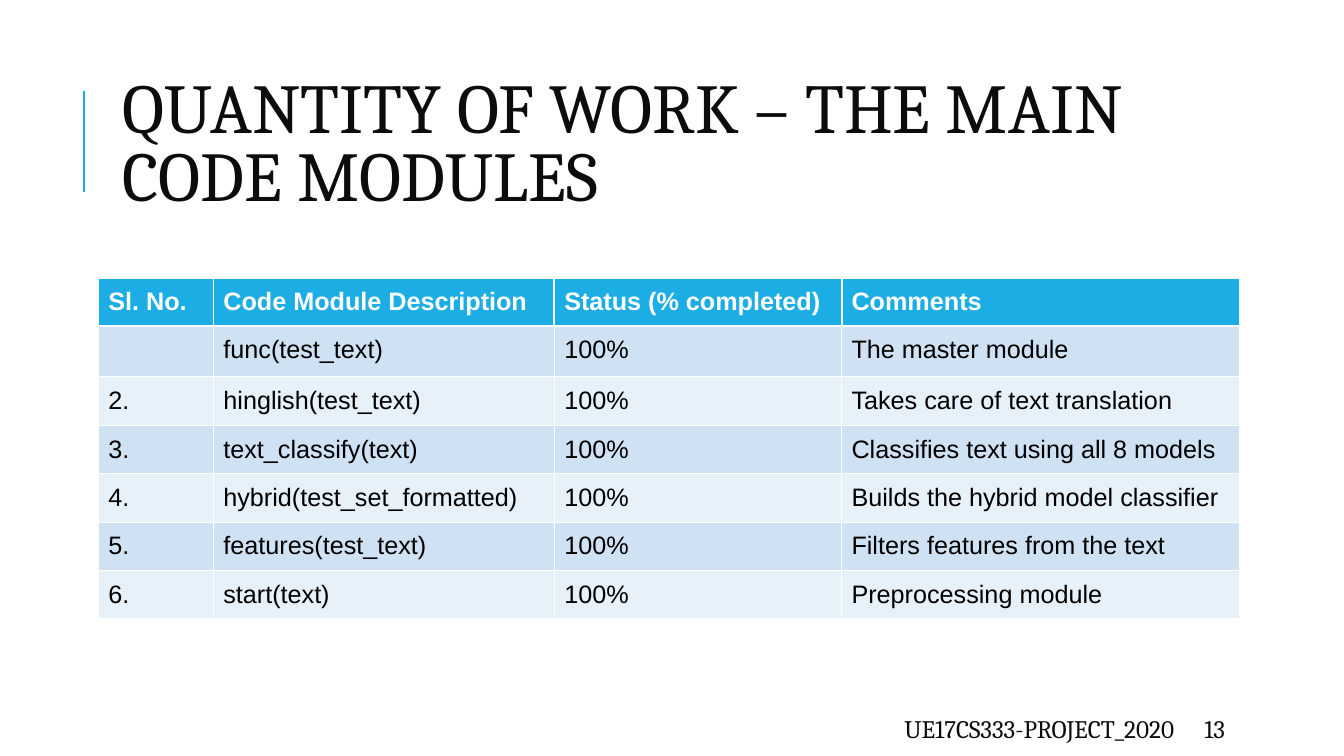
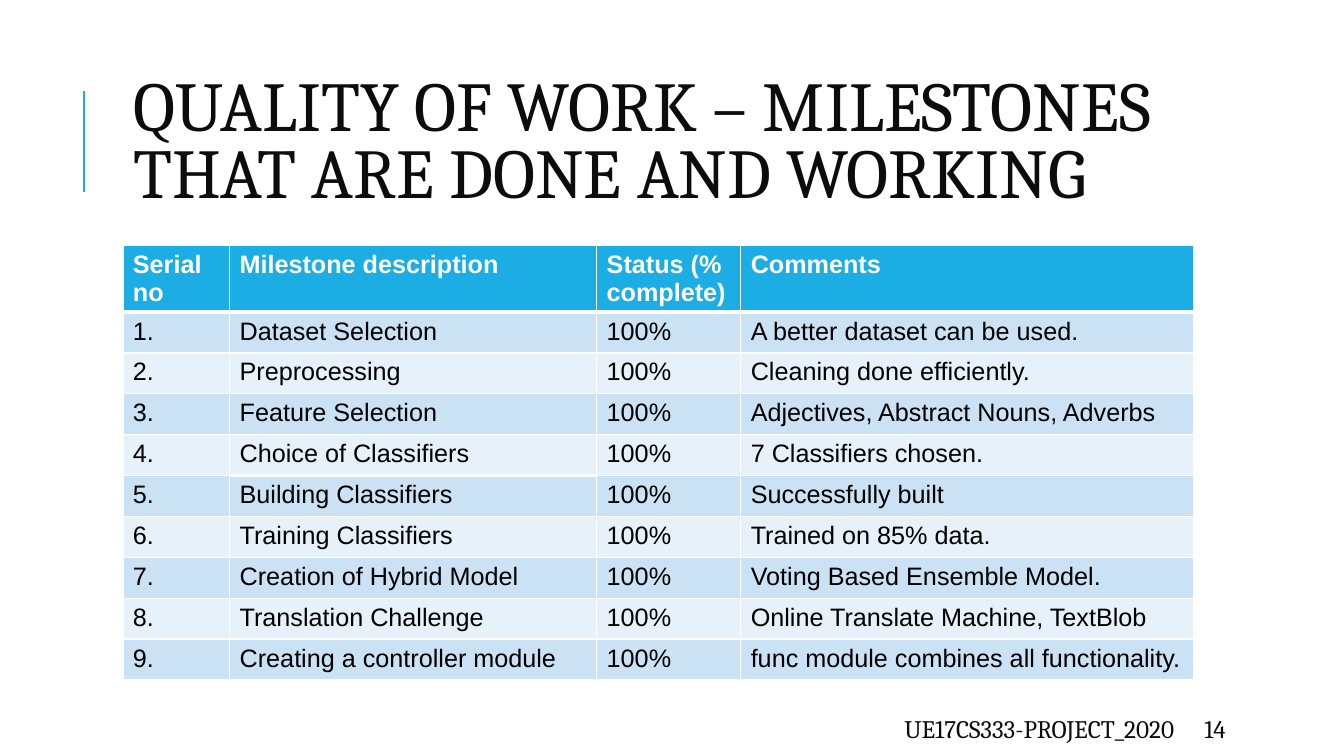
from lxml import etree
from pptx import Presentation
from pptx.dml.color import RGBColor
from pptx.enum.shapes import MSO_CONNECTOR
from pptx.enum.text import MSO_ANCHOR, MSO_AUTO_SIZE, PP_ALIGN
from pptx.oxml.ns import qn
from pptx.util import Cm, Pt

LEFT, RIGHT = PP_ALIGN.LEFT, PP_ALIGN.RIGHT
MIDDLE = MSO_ANCHOR.MIDDLE
NO_AUTOFIT = MSO_AUTO_SIZE.NONE
STRAIGHT = MSO_CONNECTOR.STRAIGHT

COLORS = {
    "accent": "1CADE4",
    "heading": "0C0C0C",
    "body": "000000",
    "white": "FFFFFF",
    "module_band": "CFE2F3",
    "milestone_band": "CBE2F5",
    "light_band": "E7F1FA",
}
HEADING_FONT, TABLE_FONT = "Cambria", "Arial"
TITLE_ONLY = 5
SIDE_MARGIN = Cm(0.25)
FOOTER = "UE17CS333-PROJECT_2020"

MODULES = [
    ("Sl. No.", "Code Module Description", "Status (% completed)", "Comments"),
    ("", "func(test_text)", "100%", "The master module"),
    ("2.", "hinglish(test_text)", "100%", "Takes care of text translation"),
    ("3.", "text_classify(text)", "100%", "Classifies text using all 8 models"),
    ("4.", "hybrid(test_set_formatted)", "100%", "Builds the hybrid model classifier"),
    ("5.", "features(test_text)", "100%", "Filters features from the text"),
    ("6.", "start(text)", "100%", "Preprocessing module"),
]
MILESTONES = [
    ("Serial no", "Milestone description", "Status (% complete)", "Comments"),
    ("1.", "Dataset Selection", "100%", "A better dataset can be used."),
    ("2.", "Preprocessing", "100%", "Cleaning done efficiently."),
    ("3.", "Feature Selection", "100%", "Adjectives, Abstract Nouns, Adverbs"),
    ("4.", "Choice of Classifiers", "100%", "7 Classifiers chosen."),
    ("5.", "Building Classifiers", "100%", "Successfully built"),
    ("6.", "Training Classifiers", "100%", "Trained on 85% data."),
    ("7.", "Creation of Hybrid Model", "100%", "Voting Based Ensemble Model."),
    ("8.", "Translation Challenge", "100%", "Online Translate Machine, TextBlob"),
    ("9.", "Creating a controller module", "100%", "func module combines all functionality."),
]


def rgb(name):
    return RGBColor.from_string(COLORS[name])


def write_text(frame, text, *, size=18, font=HEADING_FONT, color="heading",
               bold=False, align=LEFT, line_spacing=None):
    para = frame.paragraphs[0]
    para.alignment = align
    para.line_spacing = line_spacing
    span = para.add_run()
    span.text = text
    span.font.size = Pt(size)
    span.font.name = font
    span.font.bold = bold
    span.font.color.rgb = rgb(color)


def place(box, left, top, width, height):
    box.left, box.top = Cm(left), Cm(top)
    box.width, box.height = Cm(width), Cm(height)
    frame = box.text_frame
    frame.word_wrap = True
    frame.auto_size = NO_AUTOFIT
    frame.vertical_anchor = MIDDLE


def add_footer_text(page, text, left, width, align=LEFT):
    box = page.shapes.add_textbox(0, 0, 0, 0)
    place(box, left, 17.98, width, 0.76)
    write_text(box.text_frame, text, align=align)


def add_title_rule(page):
    rule = page.shapes.add_connector(STRAIGHT, Cm(2.11), Cm(4.83), Cm(2.11), Cm(2.29))
    rule.line.color.rgb = rgb("accent")
    rule.line.width = Pt(1.5)
    etree.SubElement(rule._element.spPr, qn("a:effectLst"))


def add_page(deck, title, number, title_area):
    """Add a slide with the shared title style, accent rule and footer."""
    page = deck.slides.add_slide(deck.slide_layouts[TITLE_ONLY])
    add_title_rule(page)
    place(page.shapes.title, *title_area)
    write_text(page.shapes.title.text_frame, title, size=50, line_spacing=0.8)
    add_footer_text(page, FOOTER, 13.46, 16.38, align=RIGHT)
    add_footer_text(page, str(number), 30.1, 2.69)
    return page


def set_border(cell, width, sides="LRTB"):
    """Draw white lines on the named sides, or change the width of those there."""
    properties = cell._tc.get_or_add_tcPr()
    for index, side in enumerate(sides):
        tag = qn(f"a:ln{side}")
        line = properties.find(tag)
        if line is None:
            line = etree.Element(tag)
            properties.insert(index, line)
            fill = etree.SubElement(line, qn("a:solidFill"))
            etree.SubElement(fill, qn("a:srgbClr"), val=COLORS["white"])
        line.set("w", str(Pt(width)))


def fill_cell(cell, text, fill, margin, border, is_header):
    cell.margin_left = cell.margin_right = SIDE_MARGIN
    cell.margin_top = cell.margin_bottom = Cm(margin)
    cell.fill.solid()
    cell.fill.fore_color.rgb = rgb(fill)
    set_border(cell, border)
    if text:
        write_text(cell.text_frame, text, font=TABLE_FONT, bold=is_header,
                   color="white" if is_header else "body")


def add_grid(page, rows, *, left, top, widths, header_height, row_height,
             margin, band, border):
    heights = [header_height] + [row_height] * (len(rows) - 1)
    table = page.shapes.add_table(
        len(rows), len(widths), Cm(left), Cm(top), Cm(sum(widths)), Cm(sum(heights))
    ).table
    table.horz_banding = False
    for column, width in zip(table.columns, widths):
        column.width = Cm(width)
    for index, (row, height, texts) in enumerate(zip(table.rows, heights, rows)):
        row.height = Cm(height)
        is_header = index == 0
        fill = "accent" if is_header else (band if index % 2 else "light_band")
        for cell, text in zip(row.cells, texts):
            fill_cell(cell, text, fill, margin, border, is_header)
    return table


def thicken_rule(table, row, columns, width):
    """Widen the line below a row, on both cells that share it."""
    for column in columns:
        set_border(table.cell(row, column), width, "B")
        set_border(table.cell(row + 1, column), width, "T")


def add_modules_page(deck):
    page = add_page(deck, "QUANTITY OF WORK – THE MAIN CODE MODULES", 13,
                    (2.84, 1.63, 27.66, 4.17))
    table = add_grid(page, MODULES, left=2.48, top=7, widths=(2.9, 8.59, 7.24, 10.03),
                     header_height=1.22, row_height=1.22, margin=0.25,
                     band="module_band", border=0.75)
    for cell in table.rows[0].cells:
        set_border(cell, 1.5)
    thicken_rule(table, 0, range(4), 1.5)


def add_milestones_page(deck):
    page = add_page(deck, "QUALITY OF WORK – MILESTONES THAT ARE DONE AND WORKING", 14,
                    (3.1, 1.57, 27, 4.17))
    table = add_grid(page, MILESTONES, left=3.1, top=6.18, widths=(2.69, 9.25, 3.63, 11.4),
                     header_height=1.68, row_height=1.03, margin=0.13,
                     band="milestone_band", border=1)
    thicken_rule(table, 0, range(4), 3)
    thicken_rule(table, 4, [1], 3)


def main():
    deck = Presentation()
    deck.slide_width, deck.slide_height = Cm(33.87), Cm(19.05)
    add_modules_page(deck)
    add_milestones_page(deck)
    deck.save("out.pptx")


if __name__ == "__main__":
    main()
